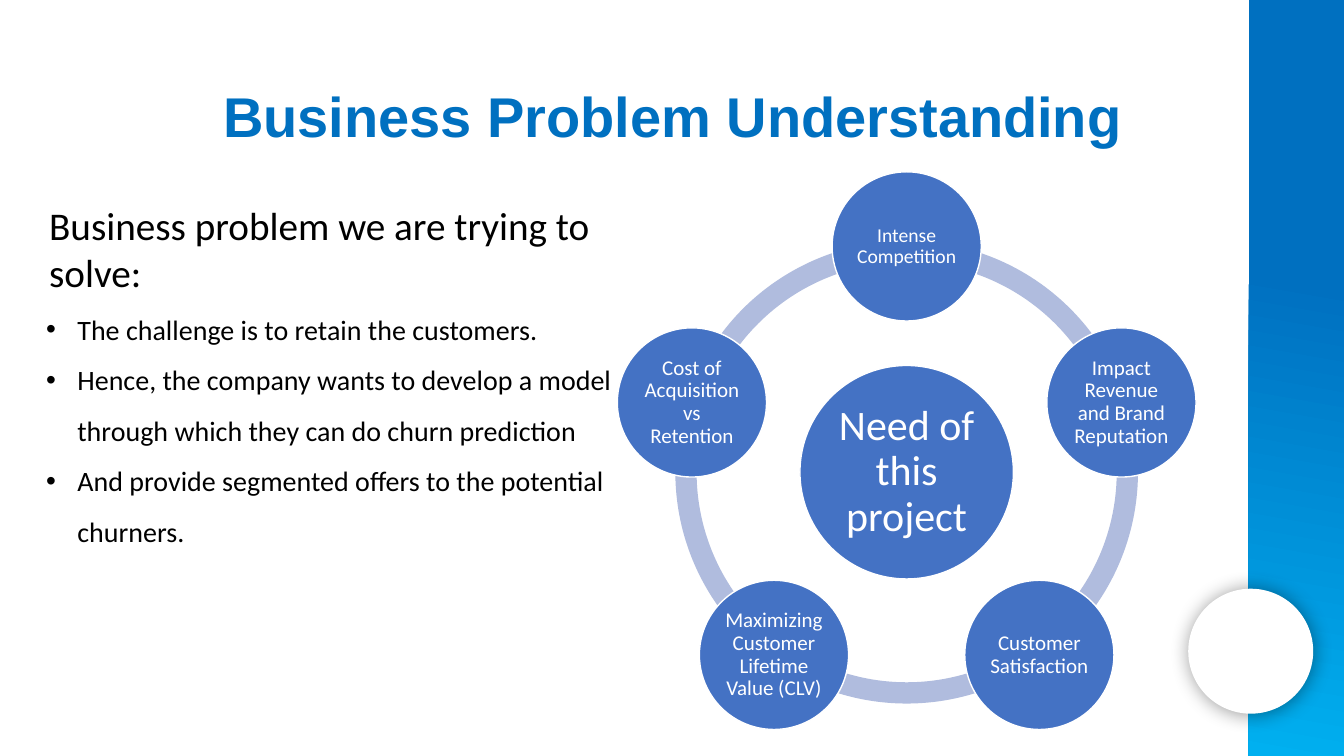
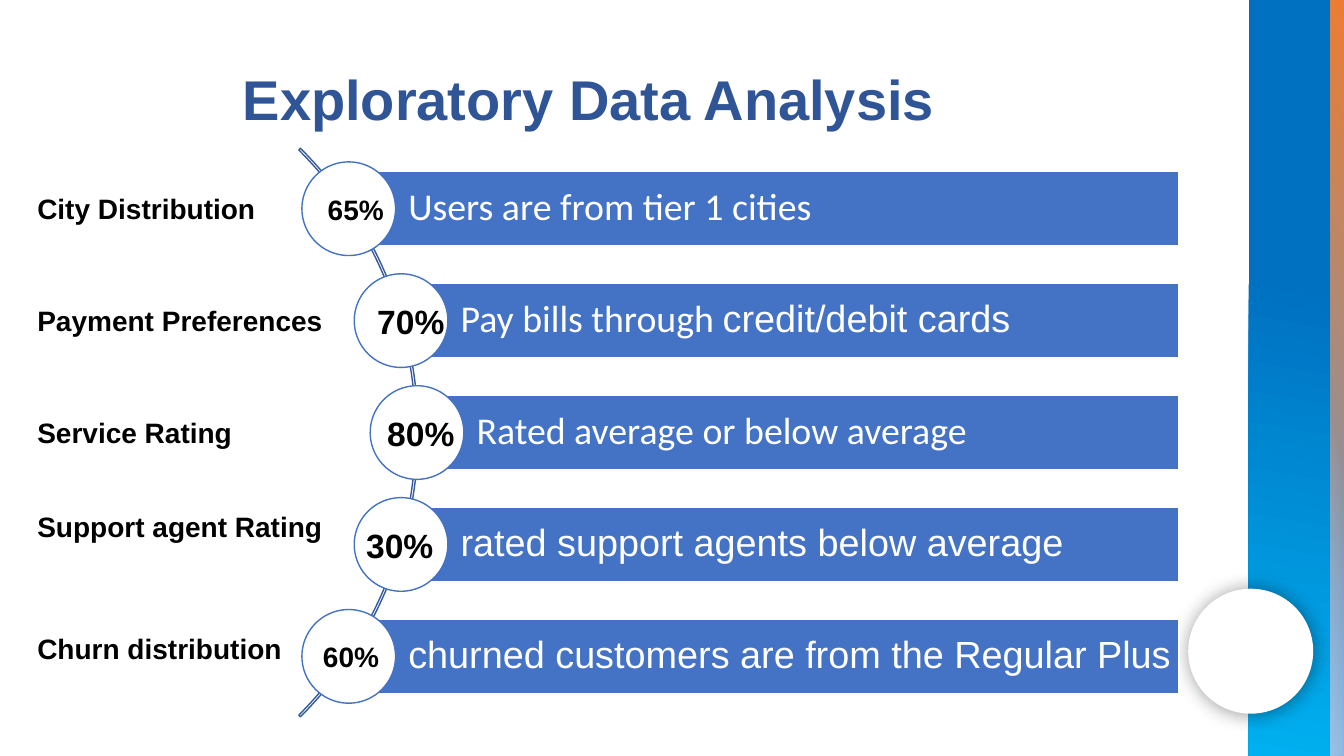
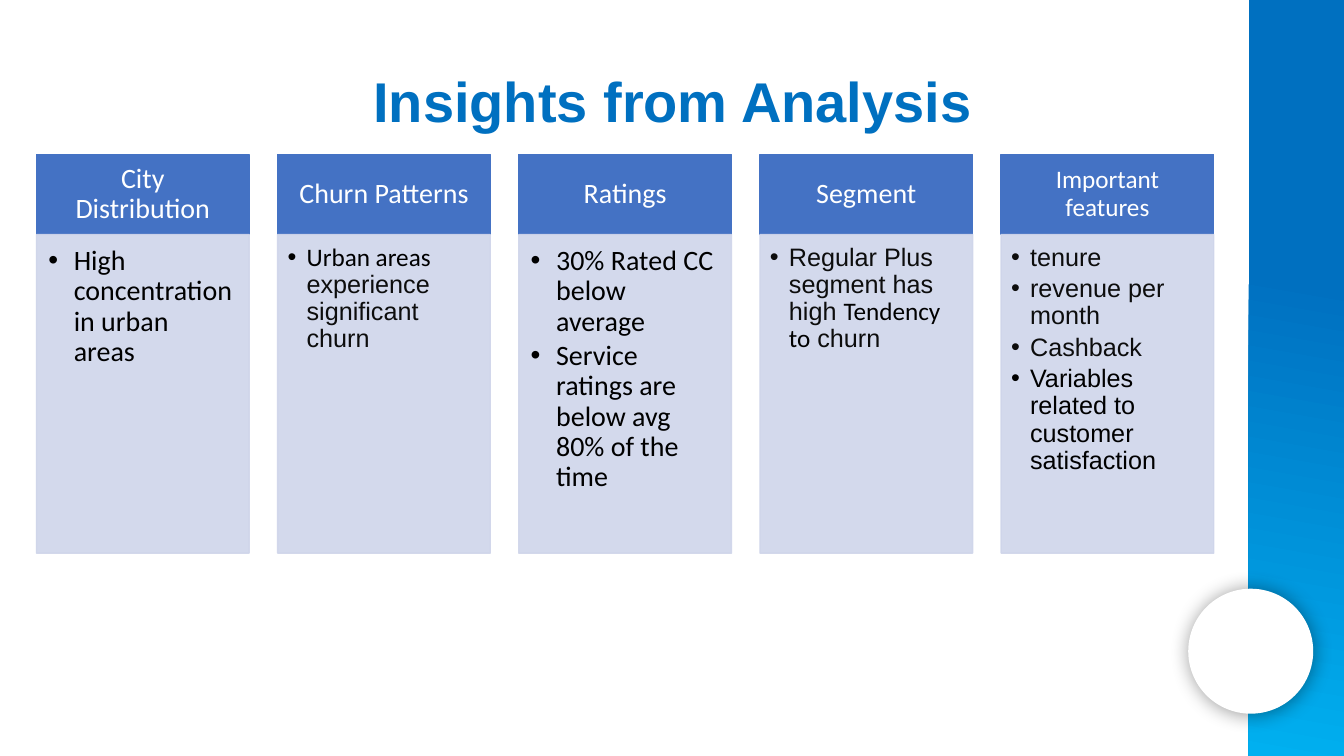
import math

from lxml import etree
from pptx import Presentation
from pptx import util as u
from pptx.dml import color
from pptx.enum import shapes, text
from pptx.oxml import ns

BLUE, DEEP_BLUE, SKY = "0070C0", "2F5597", "00B0F0"
NODE, RING, PALE = "4472C4", "B0BCDE", "CFD5EA"
WHITE, BLACK, INK = "FFFFFF", "000000", "0D0D0D"
SLIDE_WIDTH, SLIDE_HEIGHT = 33.87, 19.05
CENTER, LEFT = text.PP_ALIGN.CENTER, text.PP_ALIGN.LEFT
TOP, MIDDLE, BOTTOM = (text.MSO_ANCHOR.TOP, text.MSO_ANCHOR.MIDDLE,
                       text.MSO_ANCHOR.BOTTOM)
KIND = shapes.MSO_SHAPE
ARIAL, CALIBRI = {"name": "Arial"}, {"name": "Calibri"}

RING_NODES = [
    ("Intense Competition", 14),
    ("Impact Revenue and Brand Reputation", 15),
    ("Customer Satisfaction", 15),
    ("Maximizing Customer Lifetime Value (CLV)", 15),
    ("Cost of Acquisition vs Retention", 15),
]
PROBLEMS = [
    "The challenge is to retain the customers.",
    "Hence, the company wants to develop a model through which they can do "
    "churn prediction",
    "And provide segmented offers to the potential churners.",
]
FINDINGS = [
    ("City Distribution", 0, "65%", 20, 0.4,
     [("Users are from tier 1 cities", CALIBRI)]),
    ("Payment Preferences", 0, "70%", 24, 0.33,
     [("Pay bills through ", CALIBRI), ("credit/debit cards", ARIAL)]),
    ("Service Rating", 0, "80%", 24, 0.18,
     [("Rated average or below average", CALIBRI)]),
    ("Support agent Rating", 0.46, "30%", 24, 0.05,
     [("rated support agents below average", ARIAL)]),
    ("Churn distribution", 0.2, "60%", 20, 0.28,
     [("churned customers are from the Regular Plus", ARIAL)]),
]
ARIAL_INK = {"name": "Arial", "color": INK}
INSIGHTS = [
    ("City Distribution", 20, 20, ["High concentration in urban areas"]),
    ("Churn Patterns", 20, 18,
     [[("Urban areas ", {}), ("experience significant churn", ARIAL_INK)]]),
    ("Ratings", 20, 20, ["30% Rated CC below average",
                         "Service ratings are below avg 80% of the time"]),
    ("Segment", 20, 18,
     [[("Regular Plus segment has high ", ARIAL_INK), ("Tendency to", {}),
       (" churn", ARIAL_INK)]]),
    ("Important features", 18, 18,
     [[("tenure", ARIAL_INK)], [("revenue per month", ARIAL_INK)],
      [("Cashback", ARIAL_INK)],
      [("Variables related to customer satisfaction", ARIAL)]]),
]
CARD_SPACING = {20: (0.3, 0.64), 18: (0.25, 0.48)}


def rgb(value):
    """Turn a hex string into a colour."""
    return color.RGBColor.from_string(value)


def configure(target, values):
    """Set every attribute named in a dict of format values."""
    for name, value in values.items():
        setattr(target, name, value)


def place(shape, box):
    """Move a shape to a box of left, top, width and height."""
    names = ("left", "top", "width", "height")
    configure(shape, {name: u.Cm(part) for name, part in zip(names, box)})


def set_alpha(shape, alphas):
    """Give the colours of a shape, in order, an opacity in percent."""
    for item, alpha in zip(shape.element.spPr.iter(ns.qn("a:srgbClr")), alphas):
        etree.SubElement(item, ns.qn("a:alpha"), val=str(alpha * 1000))


def add_shape(slide, kind, box, fill=None, line=None):
    """Add a flat preset shape, with a fill and a 1 pt line if asked for."""
    shape = slide.shapes.add_shape(kind, *map(u.Cm, box))
    shape.shadow.inherit = False
    for target, value in ((shape.fill, fill), (shape.line.fill, line)):
        if value:
            target.solid()
            target.fore_color.rgb = rgb(value)
        else:
            target.background()
    if line:
        shape.line.width = u.Pt(1)
    return shape


def add_arc(slide, center, radius, angles, thickness, **paint):
    """Add a block arc running clockwise between two angles in degrees."""
    box = (center[0] - radius, center[1] - radius, 2 * radius, 2 * radius)
    arc = add_shape(slide, KIND.BLOCK_ARC, box, **paint)
    for index, value in enumerate((angles[0] * 0.6, angles[1] * 0.6, thickness)):
        arc.adjustments[index] = value


def add_circle(slide, center, diameter, fill, line=None):
    """Add a circle around a centre."""
    box = (center[0] - diameter / 2, center[1] - diameter / 2, diameter, diameter)
    return add_shape(slide, KIND.OVAL, box, fill, line)


def add_gradient(slide, box, stops, angle):
    """Add a rectangle with a two-stop gradient, its angle clockwise."""
    shape = add_shape(slide, KIND.RECTANGLE, box)
    shape.fill.gradient()
    shape.fill.gradient_angle = 360 - angle
    for stop, (position, value) in zip(shape.fill.gradient_stops, stops):
        stop.position = position
        stop.color.rgb = rgb(value)
    return shape


def set_bullet(paragraph, margin, hanging, bullet):
    """Set the indent of a paragraph and its bullet, or none."""
    properties = paragraph._p.get_or_add_pPr()
    properties.set("marL", str(u.Cm(margin)))
    properties.set("indent", str(-u.Cm(hanging)))
    if bullet:
        etree.SubElement(properties, ns.qn("a:buFont"), typeface="Arial")
        etree.SubElement(properties, ns.qn("a:buChar"), char=bullet)
    else:
        etree.SubElement(properties, ns.qn("a:buNone"))


def write(shape, paragraphs, size, align=CENTER, anchor=MIDDLE,
          insets=(0.25, 0.13, 0.25, 0.13), spacing=1.0, after=0, indent=None,
          **font):
    """Append paragraphs, each a string or a list of (text, font changes)."""
    frame = shape.text_frame
    sides = ("margin_left", "margin_top", "margin_right", "margin_bottom")
    configure(frame, {"word_wrap": True, "auto_size": text.MSO_AUTO_SIZE.NONE,
                      "vertical_anchor": anchor,
                      **dict(zip(sides, map(u.Cm, insets)))})
    base = {"name": "Calibri", "size": u.Pt(size), "bold": False,
            "color": BLACK, **font}
    for content in paragraphs:
        last = frame.paragraphs[-1]
        paragraph = frame.add_paragraph() if last.runs else last
        configure(paragraph, {"alignment": align, "line_spacing": spacing,
                              "space_before": u.Pt(0),
                              "space_after": u.Pt(after)})
        if indent:
            set_bullet(paragraph, *indent)
        runs = [(content, {})] if isinstance(content, str) else content
        for words, changes in runs:
            values = {**base, **changes}
            run = paragraph.add_run()
            run.text = words
            run.font.color.rgb = rgb(values.pop("color"))
            configure(run.font, values)


def add_label(slide, words, box, size):
    """Add a bold, left-aligned label."""
    label = slide.shapes.add_textbox(*map(u.Cm, box))
    write(label, [words], size, align=LEFT, name="Arial", bold=True)


def set_title(slide, words, box, ink=BLUE, **layout):
    """Fill and place the title placeholder."""
    title = slide.shapes.title
    place(title, box)
    write(title, [words], 40, name="Arial", bold=True, color=ink, **layout)


def decorate_master(presentation, slide):
    """Put the side band and the shadowed disc on the slide master."""
    band = add_gradient(slide, (31.47, 0, 2.4, SLIDE_HEIGHT),
                        ((0.37, BLUE), (1, SKY)), 100)
    disc = add_circle(slide, (31.52, 16.41), 3.15, WHITE)
    effects = disc.element.spPr.find(ns.qn("a:effectLst"))
    shadow = etree.SubElement(effects, ns.qn("a:outerShdw"),
                              blurRad=str(u.Pt(14)), dist=str(u.Pt(1)),
                              dir=str(43 * 60000), rotWithShape="0")
    shade = etree.SubElement(shadow, ns.qn("a:srgbClr"), val=BLACK)
    etree.SubElement(shade, ns.qn("a:alpha"), val="40000")
    tree = presentation.slide_master.shapes.element
    for index, shape in enumerate((band, disc)):
        shape.element.nvSpPr.cNvPr.set("id", str(101 + index))
        tree.insert(2 + index, shape.element)


def add_problem_list(slide, box):
    """Fill the body placeholder with a lead line and bullets."""
    body = slide.placeholders[1]
    place(body, box)
    shared = {"align": LEFT, "anchor": TOP}
    write(body, ["Business problem we are trying to solve:"], 28,
          indent=(0.08, 0, None), **shared)
    write(body, PROBLEMS, 20, spacing=1.5, indent=(0.79, 0.79, "•"), **shared)


def add_needs_ring(slide, box):
    """Draw a hub and its nodes on a ring that fills the box."""
    left, top, size = box
    center = (left + size / 2, top + size / 2)
    step = 360 / len(RING_NODES)
    angles = [(270 + step * index) % 360 for index in range(len(RING_NODES))]
    for angle in angles:
        add_arc(slide, center, size / 2, (angle, (angle + step) % 360), 0.046,
                fill=RING)
    style = {"insets": (0.05,) * 4, "spacing": 0.9, "color": WHITE}
    hub = add_circle(slide, center, 5.38, NODE, WHITE)
    write(hub, ["Need of this project"], 30, **style)
    for angle, (words, font_size) in zip(angles, RING_NODES):
        turn = math.radians(angle)
        spot = (center[0] + 5.69 * math.cos(turn),
                center[1] + 5.69 * math.sin(turn))
        node = add_circle(slide, spot, 3.76, NODE, WHITE)
        write(node, [words], font_size, **style)


def add_edge_strip(slide, box):
    """Draw the two-layer gradient strip at the slide's edge."""
    left, top, width, height = box
    base = add_gradient(slide, box, ((0, "ED7D31"), (1, "5B9BD5")), 30)
    veil = add_gradient(slide, (left, top + 9.8, width, height - 9.8),
                        ((0.19, "9DC3E6"), (1, "9DC3E6")), 10)
    set_alpha(veil, (0, 100))
    for shape in (base, veil):
        shape.element.spPr.xfrm.set("flipH", "1")


def add_findings(slide, box):
    """Draw bars whose percentage discs follow an arc, with labels left."""
    left, top, width, height = box
    pitch, bar, disc, radius = 2.82, 1.87, 2.36, 10.1
    hub = (left - 0.28, top + height / 2)
    add_arc(slide, hub, 10.13, (315, 45), 0.003, line="365B9D")
    for index, (label, rise, share, size, shift, runs) in enumerate(FINDINGS):
        offset = (index - (len(FINDINGS) - 1) / 2) * pitch
        x = hub[0] + math.sqrt(radius ** 2 - offset ** 2)
        y = hub[1] + offset
        strip = add_shape(slide, KIND.RECTANGLE,
                          (x, y - bar / 2, left + width - x, bar), NODE, WHITE)
        write(strip, [runs], 27, align=LEFT, insets=(1.5, 0.18, 0, 0.18),
              spacing=0.9, color=WHITE)
        add_circle(slide, (x, y), disc, WHITE, NODE)
        add_label(slide, share, (x - disc / 2 + shift, y - 0.63, 2.8, 1.27), size)
        add_label(slide, label, (left, y - 0.56 - rise, 8, 1.12), 20)


def add_insight_card(slide, box, heading, heading_size, size, points):
    """Draw one column: a heading over a bulleted panel."""
    left, top, width, height = box
    head_height = 2.02
    head = add_shape(slide, KIND.RECTANGLE, (left, top, width, head_height),
                     NODE, NODE)
    write(head, [heading], heading_size, insets=(0.4, 0.23, 0.4, 0.23),
          spacing=0.9, color=WHITE)
    panel = add_shape(slide, KIND.RECTANGLE,
                      (left, top + head_height, width, height - head_height),
                      PALE, PALE)
    set_alpha(panel, (90, 90))
    inset, hanging = CARD_SPACING[size]
    write(panel, points, size, align=LEFT, anchor=TOP,
          insets=(inset, inset, 0.35, 0.4), spacing=0.9, after=3,
          indent=(hanging, hanging, "•"))


def add_insights(slide, box):
    """Spread the insight cards evenly over the box."""
    left, top, width, height = box
    card = 5.36
    pitch = (width - card) / (len(INSIGHTS) - 1)
    for index, insight in enumerate(INSIGHTS):
        add_insight_card(slide, (left + index * pitch, top, card, height), *insight)


def main():
    """Build the three slides and save them."""
    presentation = Presentation()
    presentation.slide_width = u.Cm(SLIDE_WIDTH)
    presentation.slide_height = u.Cm(SLIDE_HEIGHT)
    problem, analysis, insights = (
        presentation.slides.add_slide(presentation.slide_layouts[index])
        for index in (1, 5, 5))
    decorate_master(presentation, problem)

    set_title(problem, "Business Problem Understanding", (3.99, 1.93, 25.91, 1.96))
    add_problem_list(problem, (0.91, 4.95, 14.94, 10.26))
    add_needs_ring(problem, (17.02, 6.07, 11.66))

    set_title(analysis, "Exploratory Data Analysis", (5.87, 0.64, 24.61, 2.84),
              DEEP_BLUE, align=LEFT, anchor=BOTTOM, spacing=0.9, after=6)
    add_edge_strip(analysis, (33.53, 0, 0.34, SLIDE_HEIGHT))
    add_findings(analysis, (0.69, 3.75, 29.02, 14.3))

    set_title(insights, "Insights from Analysis", (2.11, 1.55, 29.67, 1.96))
    add_insights(insights, (0.92, 3.89, 29.67, 10.05))
    presentation.save("out.pptx")


if __name__ == "__main__":
    main()
